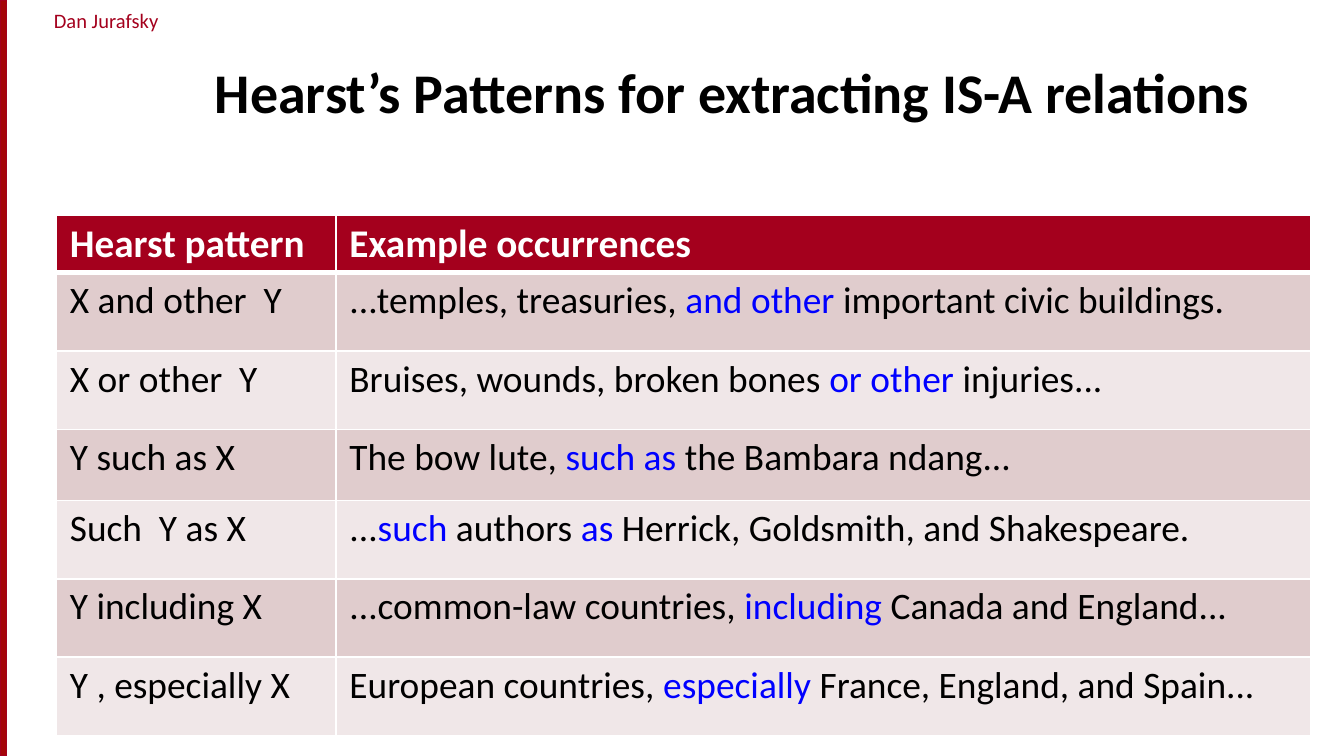
from lxml import etree
from pptx import Presentation
from pptx.dml.color import RGBColor
from pptx.enum.shapes import MSO_SHAPE
from pptx.enum.text import MSO_ANCHOR, PP_ALIGN
from pptx.oxml.ns import qn
from pptx.util import Inches, Pt

RECTANGLE = MSO_SHAPE.RECTANGLE
BOTTOM, TOP = MSO_ANCHOR.BOTTOM, MSO_ANCHOR.TOP
LEFT, CENTER = PP_ALIGN.LEFT, PP_ALIGN.CENTER
CRIMSON, BLACK, WHITE, BLUE = "A4001D", "000000", "FFFFFF", "0000FF"
BANDS = ["E0CCCD", "F0E7E8"]
BLANK = 6


def color(value):
    return RGBColor.from_string(value)


def write(paragraph, text, size, ink, bold=False):
    run = paragraph.add_run()
    run.text = text
    formats = {"name": "Calibri", "size": Pt(size), "bold": bold}
    for attribute, value in formats.items():
        setattr(run.font, attribute, value)
    run.font.color.rgb = color(ink)


deck = Presentation()
deck.slide_width = Inches(10)
deck.slide_height = deck.slide_width * 9 // 16
slide = deck.slides.add_slide(deck.slide_layouts[BLANK])

edge = slide.shapes.add_shape(RECTANGLE, 0, 0, Inches(0.05), deck.slide_height)
edge.shadow.inherit = False
edge.fill.solid()
edge.fill.fore_color.rgb = color("A40508")
edge.line.color.rgb = color(CRIMSON)
edge.line.width = Pt(0.75)

headings = [
    ("Dan Jurafsky", (0.08, 0.01, 1.42, 0.29), 11, CRIMSON, False, CENTER, TOP, 0),
    ("Hearst’s Patterns for extracting IS-A relations", (1.5, 0.23, 8.42, 0.75),
     30, BLACK, True, LEFT, BOTTOM, 0.1),
]
for words, place, size, ink, bold, alignment, anchor, inset in headings:
    frame = slide.shapes.add_textbox(*map(Inches, place)).text_frame
    formats = {"word_wrap": True, "vertical_anchor": anchor,
               "margin_left": Inches(inset), "margin_right": Inches(inset)}
    for attribute, value in formats.items():
        setattr(frame, attribute, value)
    frame.paragraphs[0].alignment = alignment
    write(frame.paragraphs[0], words, size, ink, bold)

rows = [
    ("Hearst pattern", ["Example occurrences"]),
    ("X and other  Y", ["...temples, treasuries, ", "and other ", "important civic buildings."]),
    ("X or other  Y", ["Bruises, wounds, broken bones ", "or other ", "injuries..."]),
    ("Y such as X", ["The bow lute, ", "such as ", "the Bambara ndang..."]),
    ("Such  Y as X", ["...", "such", " authors ", "as", " Herrick, Goldsmith, and Shakespeare."]),
    ("Y including X", ["...common-law countries, ", "including", " Canada and England..."]),
    ("Y , especially X", ["European countries, ", "especially", " France, England, and Spain..."]),
]
column_widths = [2.08, 7.25]
row_heights = [31, 42, 42, 38, 42, 42, 42]
patterns = slide.shapes.add_table(
    len(rows), len(column_widths), Inches(0.42), Inches(1.6),
    Inches(sum(column_widths)), Pt(sum(row_heights))).table
for column, width in zip(patterns.columns, column_widths):
    column.width = Inches(width)

for r, (pattern, example) in enumerate(rows):
    patterns.rows[r].height = Pt(row_heights[r])
    header = r == 0
    for c, pieces in enumerate([[pattern], example]):
        cell = patterns.cell(r, c)
        cell.fill.solid()
        cell.fill.fore_color.rgb = color(CRIMSON if header else BANDS[(r - 1) % 2])
        cell.margin_left = cell.margin_right = Inches(0.1)
        cell.margin_top = cell.margin_bottom = Inches(0.04)
        for i, piece in enumerate(pieces):
            ink = WHITE if header else BLUE if i % 2 else BLACK
            write(cell.text_frame.paragraphs[0], piece, 21 if header else 20, ink, header)
        borders = {"a:lnL": 1, "a:lnR": 1, "a:lnT": 3 if r == 1 else 1, "a:lnB": 3 if header else 1}
        properties = cell._tc.get_or_add_tcPr()
        for position, (side, thickness) in enumerate(borders.items()):
            border = etree.Element(qn(side), w=str(Pt(thickness)))
            paint = etree.SubElement(border, qn("a:solidFill"))
            etree.SubElement(paint, qn("a:srgbClr"), val=WHITE)
            properties.insert(position, border)

deck.save("out.pptx")
